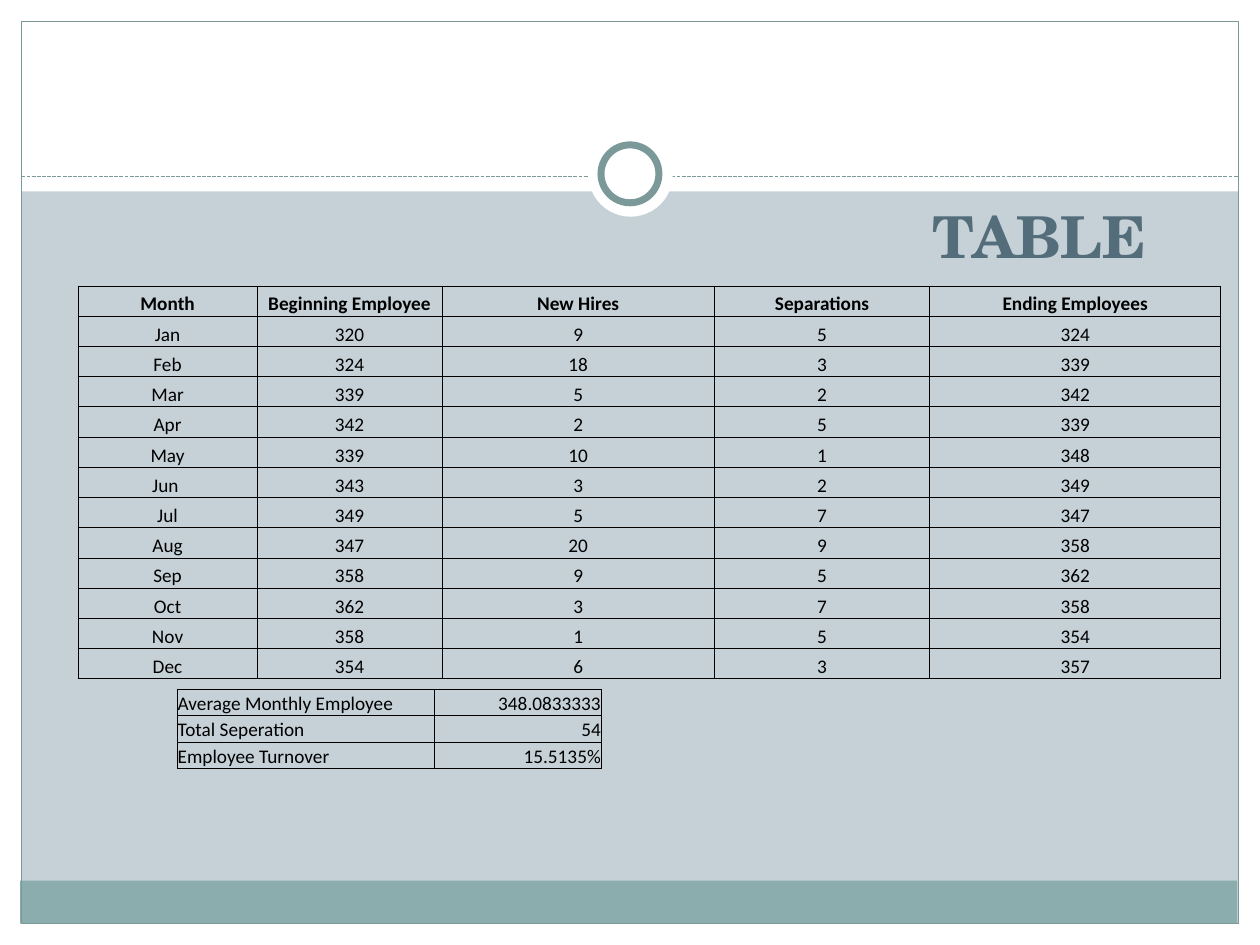
"""Build the employee turnover table slide."""
from dataclasses import dataclass

from lxml.etree import SubElement
from pptx import Presentation
from pptx.dml.color import RGBColor
from pptx.enum.dml import MSO_LINE
from pptx.enum.shapes import MSO_CONNECTOR, MSO_SHAPE
from pptx.enum.text import MSO_ANCHOR, PP_ALIGN
from pptx.oxml.ns import qn
from pptx.util import Inches, Pt


@dataclass(frozen=True)
class Theme:
    background: RGBColor = RGBColor.from_string("C5D1D7")
    white: RGBColor = RGBColor.from_string("FFFFFF")
    footer: RGBColor = RGBColor.from_string("8CADAE")
    outline: RGBColor = RGBColor.from_string("7C999A")
    title: RGBColor = RGBColor.from_string("546D7A")
    black: RGBColor = RGBColor.from_string("000000")
    title_font: str = "TeX Gyre Schola"
    table_font: str = "Calibri"
    title_size: Pt = Pt(33)
    table_size: Pt = Pt(11)
    thin_line: Pt = Pt(0.75)
    ring_line: Pt = Pt(4)
    cell_border: Pt = Pt(0.5)


theme = Theme()


def add_panel(page, kind, bounds, fill=None, line=None, width=theme.thin_line):
    panel = page.shapes.add_shape(kind, *map(Inches, bounds))
    panel.shadow.inherit = False
    if fill is None:
        panel.fill.background()
    else:
        panel.fill.solid()
        panel.fill.fore_color.rgb = fill
    if line is None:
        panel.line.fill.background()
    else:
        panel.line.color.rgb = line
        panel.line.width = width


def add_grid(page, left, top, widths, row_height, rows, alignments, header):
    frame = page.shapes.add_table(
        len(rows), len(widths), Inches(left), Inches(top),
        Inches(sum(widths)), Inches(row_height * len(rows)))
    table = frame.table
    table.first_row = header
    table.horz_banding = False
    for column, width in zip(table.columns, widths):
        column.width = Inches(width)
    for row_index, values in enumerate(rows):
        table.rows[row_index].height = Inches(row_height)
        for column_index, value in enumerate(values):
            cell = table.cell(row_index, column_index)
            cell.margin_left = cell.margin_right = 0
            cell.margin_top = cell.margin_bottom = 0
            cell.vertical_anchor = MSO_ANCHOR.BOTTOM
            properties = cell._tc.get_or_add_tcPr()
            for side in ("a:lnL", "a:lnR", "a:lnT", "a:lnB"):
                border = SubElement(properties, qn(side), w=str(theme.cell_border))
                border_fill = SubElement(border, qn("a:solidFill"))
                SubElement(border_fill, qn("a:srgbClr"), val=str(theme.black))
            cell.fill.background()
            para = cell.text_frame.paragraphs[0]
            para.text = value
            para.alignment = alignments[column_index]
            para.font.name = theme.table_font
            para.font.size = theme.table_size
            para.font.color.rgb = theme.black
            para.font.bold = header and row_index == 0


deck = Presentation()
deck.slide_width = Inches(10)
deck.slide_height = Inches(7.5)
page = deck.slides.add_slide(deck.slide_layouts[6])
page.background.fill.solid()
page.background.fill.fore_color.rgb = theme.background

for bounds in [(0, 7.33, 10, 0.17), (0, 0, 10, 1.52),
               (0, 0, 0.17, 7.5), (9.83, 0, 0.17, 7.5)]:
    add_panel(page, MSO_SHAPE.RECTANGLE, bounds, fill=theme.white)
add_panel(page, MSO_SHAPE.RECTANGLE, (0.16, 6.99, 9.66, 0.34), fill=theme.footer)
add_panel(page, MSO_SHAPE.RECTANGLE, (0.17, 0.17, 9.66, 7.16), line=theme.outline)

divider = page.shapes.add_connector(
    MSO_CONNECTOR.STRAIGHT, Inches(0.17), Inches(1.4), Inches(9.83), Inches(1.4))
divider.line.color.rgb = theme.outline
divider.line.width = theme.thin_line
divider.line.dash_style = MSO_LINE.SQUARE_DOT
SubElement(divider._element.spPr, qn("a:effectLst"))

add_panel(page, MSO_SHAPE.OVAL, (4.67, 1.05, 0.67, 0.67), fill=theme.white)
add_panel(page, MSO_SHAPE.OVAL, (4.77, 1.15, 0.46, 0.46), fill=theme.white,
          line=theme.outline, width=theme.ring_line)

title_box = page.shapes.add_textbox(Inches(3.75), Inches(0.94), Inches(9), Inches(1.25))
title_box.text_frame.word_wrap = True
title_box.text_frame.vertical_anchor = MSO_ANCHOR.BOTTOM
title_para = title_box.text_frame.paragraphs[0]
title_para.text = "TABLE"
title_para.alignment = PP_ALIGN.CENTER
title_para.font.name = theme.title_font
title_para.font.size = theme.title_size
title_para.font.bold = True
title_para.font.color.rgb = theme.title

monthly_rows = [
    ("Month", "Beginning Employee", "New Hires", "Separations", "Ending Employees"),
    ("Jan", "320", "9", "5", "324"),
    ("Feb", "324", "18", "3", "339"),
    ("Mar", "339", "5", "2", "342"),
    ("Apr", "342", "2", "5", "339"),
    ("May", "339", "10", "1", "348"),
    ("Jun ", "343", "3", "2", "349"),
    ("Jul", "349", "5", "7", "347"),
    ("Aug", "347", "20", "9", "358"),
    ("Sep", "358", "9", "5", "362"),
    ("Oct", "362", "3", "7", "358"),
    ("Nov", "358", "1", "5", "354"),
    ("Dec", "354", "6", "3", "357"),
]
summary_rows = [
    ("Average Monthly Employee", "348.0833333"),
    ("Total Seperation", "54"),
    ("Employee Turnover", "15.5135%"),
]
add_grid(page, 0.62, 2.27, (1.42, 1.47, 2.16, 1.71, 2.31), 0.24,
         monthly_rows, [PP_ALIGN.CENTER] * 5, header=True)
add_grid(page, 1.41, 5.47, (2.04, 1.32), 0.21,
         summary_rows, [PP_ALIGN.LEFT, PP_ALIGN.RIGHT], header=False)

deck.save("out.pptx")
